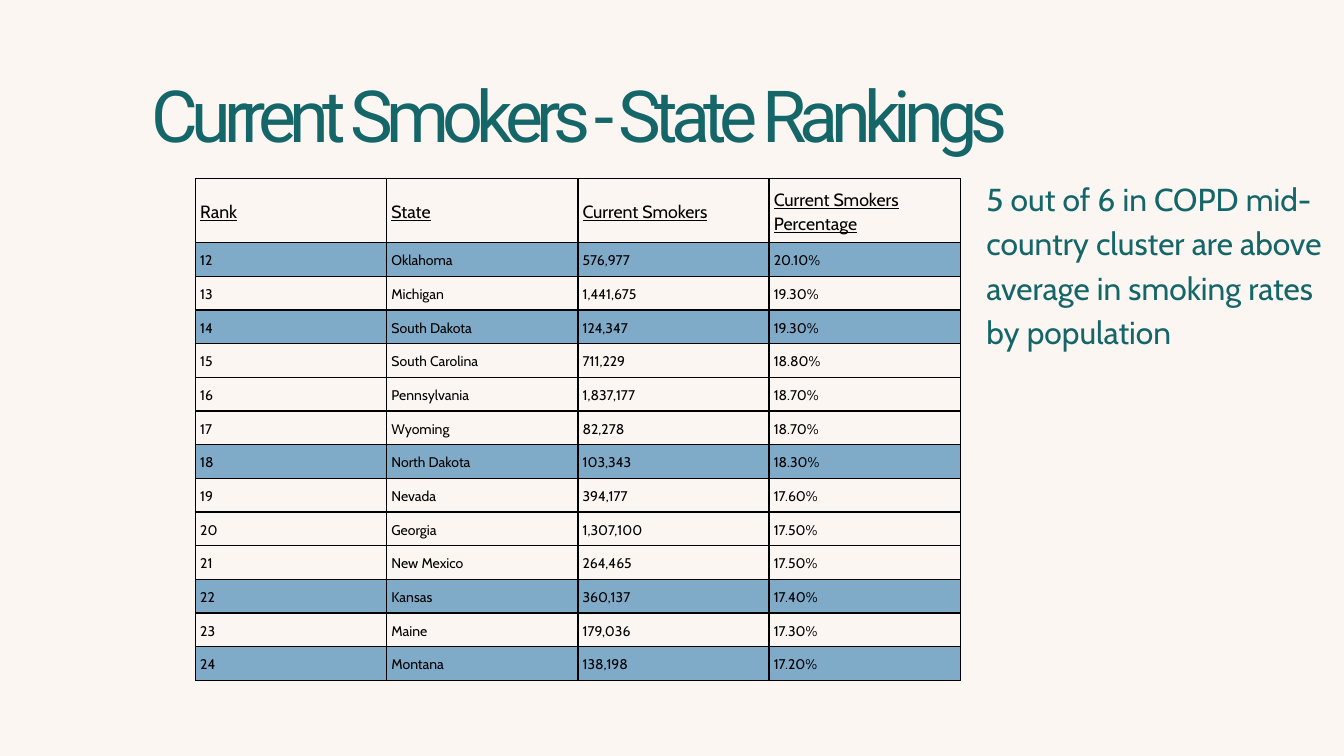
from dataclasses import dataclass

from lxml import etree
from pptx import Presentation
from pptx.dml.color import RGBColor
from pptx.enum.text import MSO_ANCHOR, MSO_AUTO_SIZE, PP_ALIGN
from pptx.oxml.ns import qn
from pptx.util import Inches, Pt

LEFT = PP_ALIGN.LEFT
TOP, MIDDLE = MSO_ANCHOR.TOP, MSO_ANCHOR.MIDDLE
NO_FIT = MSO_AUTO_SIZE.NONE
TITLE_ONLY = 5


@dataclass(frozen=True)
class Theme:
    back: str = "FBF6F1"
    teal: str = "156669"
    ink: str = "000000"
    mark: str = "7FAAC8"
    head: str = "Roboto"
    body: str = "Cabin"
    title: float = 77
    note: float = 34
    label: float = 19
    cell: float = 15
    rule: float = 1.5
    track: float = -7.4


THEME = Theme()

HEADS = ("Rank", "State", "Current Smokers", "Current Smokers Percentage")
FIRST = 12
STATES = (
    ("Oklahoma", "576,977", "20.10%"),
    ("Michigan", "1,441,675", "19.30%"),
    ("South Dakota", "124,347", "19.30%"),
    ("South Carolina", "711,229", "18.80%"),
    ("Pennsylvania", "1,837,177", "18.70%"),
    ("Wyoming", "82,278", "18.70%"),
    ("North Dakota", "103,343", "18.30%"),
    ("Nevada", "394,177", "17.60%"),
    ("Georgia", "1,307,100", "17.50%"),
    ("New Mexico", "264,465", "17.50%"),
    ("Kansas", "360,137", "17.40%"),
    ("Maine", "179,036", "17.30%"),
    ("Montana", "138,198", "17.20%"),
)
CLUSTER = {"Oklahoma", "South Dakota", "North Dakota", "Kansas", "Montana"}


def style(para, face, size, color, lead):
    para.alignment = LEFT
    para.line_spacing = Pt(lead)
    font = para.font
    font.name, font.size = face, Pt(size)
    font.color.rgb = RGBColor.from_string(color)


def inset(item, gap):
    item.margin_left = item.margin_right = gap
    item.margin_top = item.margin_bottom = gap


def set_frame(frame, text):
    """Fill a text frame that has no insets and return its paragraph."""
    frame.text = text
    frame.word_wrap = True
    frame.auto_size = NO_FIT
    frame.vertical_anchor = TOP
    inset(frame, 0)
    return frame.paragraphs[0]


def add_title(slide, left, top, width, height):
    title = slide.shapes.title
    title.left, title.top = Inches(left), Inches(top)
    title.width, title.height = Inches(width), Inches(height)
    para = set_frame(title.text_frame, "Current Smokers - State Rankings")
    style(para, THEME.head, THEME.title, THEME.teal, 73.9)
    run = para.runs[0]
    run.font._element.set("spc", str(round(THEME.track * 100)))


def add_note(slide, left, top, width, height):
    box = slide.shapes.add_textbox(
        Inches(left), Inches(top), Inches(width), Inches(height))
    para = set_frame(
        box.text_frame,
        "5 out of 6 in COPD mid-country cluster are above average "
        "in smoking rates by population")
    style(para, THEME.body, THEME.note, THEME.teal, THEME.note * 1.4)


def add_borders(cell):
    props = cell._tc.get_or_add_tcPr()
    for i, side in enumerate(("lnL", "lnR", "lnT", "lnB")):
        line = etree.Element(qn(f"a:{side}"), w=str(Pt(THEME.rule)))
        fill = etree.SubElement(line, qn("a:solidFill"))
        etree.SubElement(fill, qn("a:srgbClr"), val=THEME.ink)
        props.insert(i, line)


def fill_cell(cell, text, size, marked):
    cell.text = text
    cell.vertical_anchor = MIDDLE
    inset(cell, Inches(0.07))
    if marked:
        cell.fill.solid()
        cell.fill.fore_color.rgb = RGBColor.from_string(THEME.mark)
    else:
        cell.fill.background()
    add_borders(cell)
    para = cell.text_frame.paragraphs[0]
    style(para, THEME.body, size, THEME.ink, size * 1.4)
    para.font.bold = False
    return para


def add_ranks(slide, left, top, width, height, head=0.95):
    """Place the ranking table, with the cluster's rows marked."""
    table = slide.shapes.add_table(
        len(STATES) + 1, len(HEADS),
        Inches(left), Inches(top), Inches(width), Inches(height)).table
    table.first_row = table.horz_banding = False
    for col in table.columns:
        col.width = Inches(width / len(HEADS))
    for row in table.rows:
        row.height = Inches((height - head) / len(STATES))
    table.rows[0].height = Inches(head)

    for c, text in enumerate(HEADS):
        para = fill_cell(table.cell(0, c), text, THEME.label, False)
        para.font.underline = True
    for r, record in enumerate(STATES, 1):
        rank = str(FIRST + r - 1)
        for c, text in enumerate((rank, *record)):
            fill_cell(table.cell(r, c), text, THEME.cell,
                      record[0] in CLUSTER)


def main():
    deck = Presentation()
    deck.slide_width, deck.slide_height = Inches(20), Inches(11.25)
    slide = deck.slides.add_slide(deck.slide_layouts[TITLE_ONLY])
    fill = slide.background.fill
    fill.solid()
    fill.fore_color.rgb = RGBColor.from_string(THEME.back)
    add_ranks(slide, 2.91, 2.66, 11.38, 7.47)
    add_title(slide, 2.26, 1.31, 14.89, 1.09)
    add_note(slide, 14.68, 2.58, 5.32, 3.26)
    deck.save("out.pptx")


if __name__ == "__main__":
    main()
